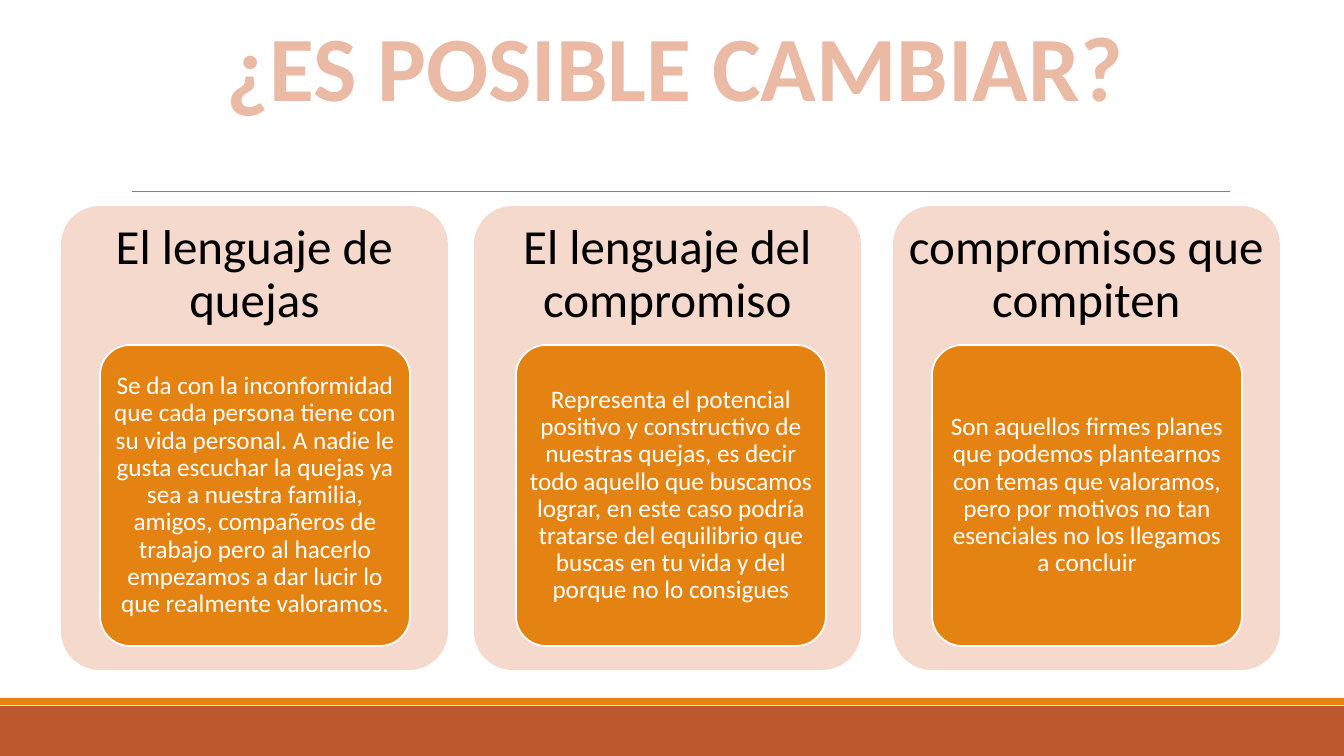
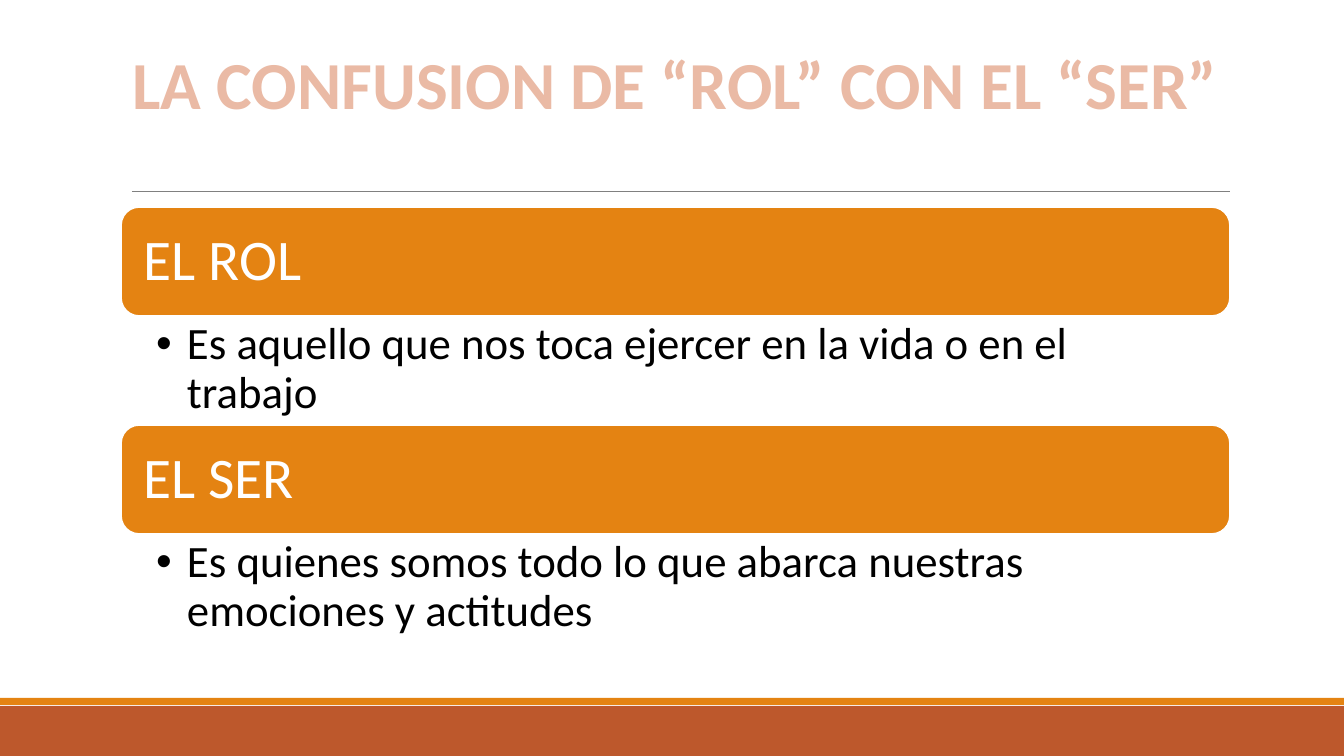
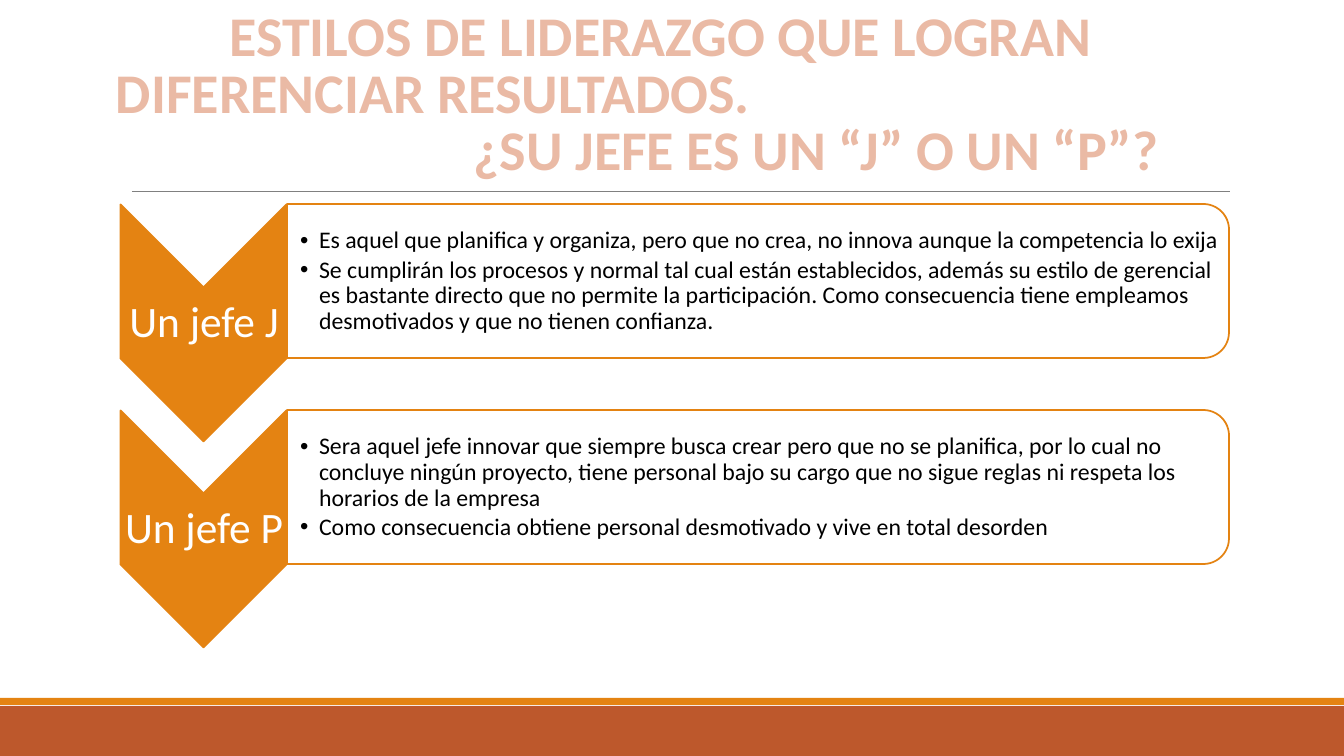
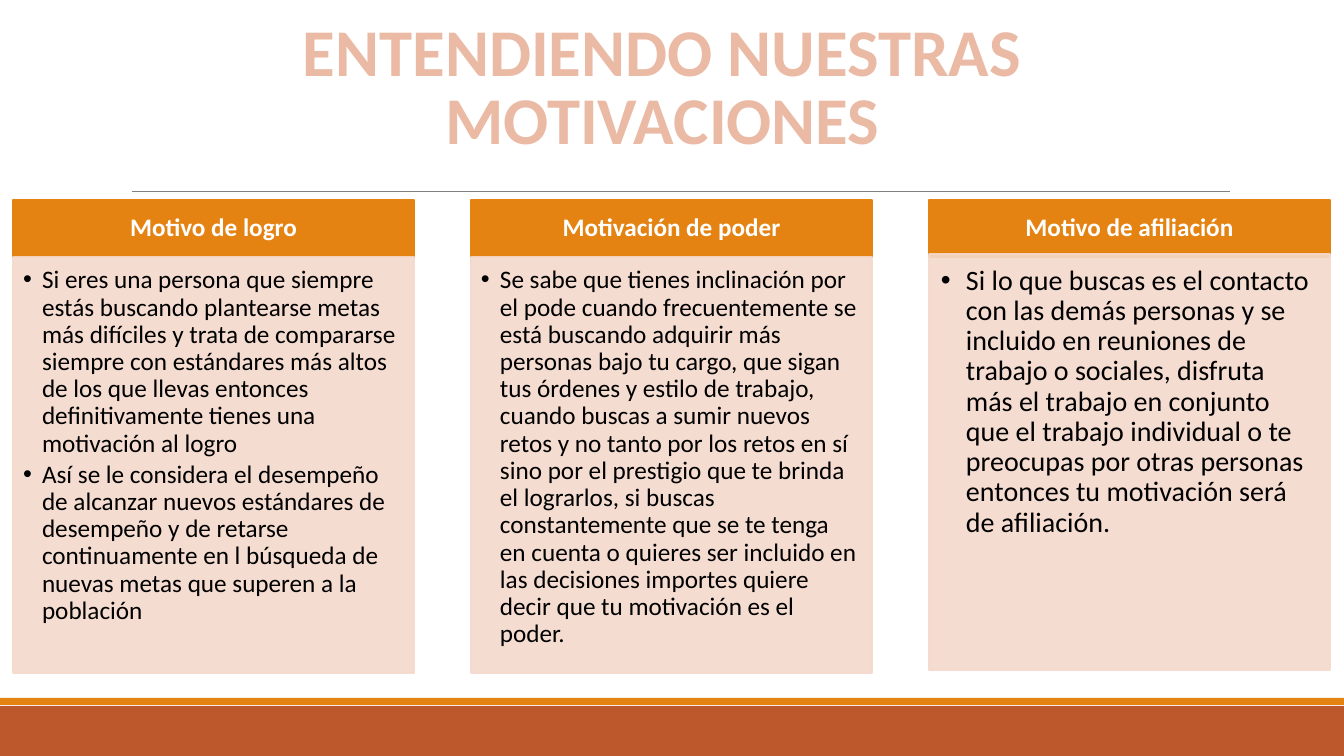
"""Build a four-slide deck on personal change and leadership."""
from dataclasses import dataclass, replace
from typing import Any, NamedTuple

from lxml import etree
from pptx import Presentation
from pptx.dml.color import RGBColor
from pptx.enum.shapes import MSO_CONNECTOR, MSO_SHAPE
from pptx.enum.text import MSO_ANCHOR, MSO_AUTO_SIZE, PP_ALIGN
from pptx.oxml.ns import qn
from pptx.util import Emu, Pt

RECT, ROUND = MSO_SHAPE.RECTANGLE, MSO_SHAPE.ROUNDED_RECTANGLE
CHEVRON, TAB = MSO_SHAPE.CHEVRON, MSO_SHAPE.ROUND_2_SAME_RECTANGLE
STRAIGHT = MSO_CONNECTOR.STRAIGHT
TOP, MIDDLE, BOTTOM = MSO_ANCHOR.TOP, MSO_ANCHOR.MIDDLE, MSO_ANCHOR.BOTTOM
LEFT, CENTER = PP_ALIGN.LEFT, PP_ALIGN.CENTER
NO_FIT = MSO_AUTO_SIZE.NONE

WIDE, HIGH = 1344, 756
SCALE = 12192000 / WIDE
FONT = "Calibri"
COLORS = {
    "rust": "BD582C",
    "orange": "E48312",
    "peach": "F5D9CC",
    "title": "EABAA5",
    "rule": "808080",
    "white": "FFFFFF",
    "black": "000000",
}


class Box(NamedTuple):
    """A rectangle in px."""
    x: int
    y: int
    w: int
    h: int


class Line(NamedTuple):
    """One paragraph of a title."""
    text: str
    align: Any = CENTER
    indent: int = 0


@dataclass(frozen=True)
class Style:
    """How a block of text looks; insets run left, top, right, bottom."""
    size: float
    color: str
    inset: tuple[int, int, int, int]
    bold: bool = False
    align: Any = CENTER
    anchor: Any = MIDDLE
    lead: float = 0.9
    bullet: int = 0


@dataclass(frozen=True)
class Card:
    """A panel with a heading and a note."""
    left: int
    head: str
    note: str


@dataclass(frozen=True)
class Topic:
    """A heading with its list."""
    head: str
    items: tuple[str, ...]


HEAD = Style(35, "black", (3, 4, 3, 330))
NOTE = Style(18, "white", (5, 4, 5, 4))
BAR = Style(41, "white", (17, 12, 17, 12), align=LEFT)
ROLE = Style(32, "black", (35, 6, 32, 6), align=LEFT, anchor=TOP, bullet=31)
BOSS = Style(31, "white", (2, 2, 2, 2))
TRAITS = Style(17, "black", (13, 1, 1, 1), align=LEFT, bullet=19)
MOTIVE = Style(18, "white", (14, 8, 14, 8), bold=True)
SIGNS = Style(18, "black", (10, 10, 14, 16), align=LEFT, anchor=TOP, bullet=19)
LARGE = replace(SIGNS, size=20, inset=(12, 12, 16, 17), bullet=25)

CARDS = (
    Card(61, "El lenguaje de quejas",
         "Se da con la inconformidad que cada persona tiene con su vida personal. "
         "A nadie le gusta escuchar la quejas ya sea a nuestra familia, amigos, "
         "compañeros de trabajo pero al hacerlo empezamos a dar lucir lo que "
         "realmente valoramos."),
    Card(474, "El lenguaje del compromiso",
         "Representa el potencial positivo y constructivo de nuestras quejas, es "
         "decir todo aquello que buscamos lograr, en este caso podría tratarse del "
         "equilibrio que buscas en tu vida y del porque no lo consigues"),
    Card(893, "compromisos que compiten",
         "Son aquellos firmes planes que podemos plantearnos con temas que "
         "valoramos, pero por motivos no tan esenciales no los llegamos a concluir"),
)
ROLES = (
    Topic("EL ROL", ("Es aquello que nos toca ejercer en la vida o en el trabajo",)),
    Topic("EL SER", ("Es quienes somos todo lo que abarca nuestras emociones y actitudes",)),
)
BOSSES = (
    Topic("Un jefe J", (
        "Es aquel que planifica y organiza, pero que no crea, no innova aunque la "
        "competencia lo exija",
        "Se cumplirán los procesos y normal tal cual están establecidos, además su "
        "estilo de gerencial es bastante directo que no permite la participación. "
        "Como consecuencia tiene empleamos desmotivados y que no tienen confianza.")),
    Topic("Un jefe P", (
        "Sera aquel jefe innovar que siempre busca crear pero que no se planifica, "
        "por lo cual no concluye ningún proyecto, tiene personal bajo su cargo que "
        "no sigue reglas ni respeta los horarios de la empresa",
        "Como consecuencia obtiene personal desmotivado y vive en total desorden")),
)
MOTIVES = (
    Topic("Motivo de logro", (
        "Si eres una persona que siempre estás buscando plantearse metas más "
        "difíciles y trata de compararse siempre con estándares más altos de los que "
        "llevas entonces definitivamente tienes una motivación al logro",
        "Así se le considera el desempeño de alcanzar nuevos estándares de desempeño "
        "y de retarse continuamente en l búsqueda de nuevas metas que superen a la "
        "población")),
    Topic("Motivación de poder", (
        "Se sabe que tienes inclinación por el pode cuando frecuentemente se está "
        "buscando adquirir más personas bajo tu cargo, que sigan tus órdenes y "
        "estilo de trabajo, cuando buscas a sumir nuevos retos y no tanto por los "
        "retos en sí sino por el prestigio que te brinda el lograrlos, si buscas "
        "constantemente que se te tenga en cuenta o quieres ser incluido en las "
        "decisiones importes quiere decir que tu motivación es el poder.",)),
    Topic("Motivo de afiliación", (
        "Si lo que buscas es el contacto con las demás personas y se incluido en "
        "reuniones de trabajo o sociales, disfruta más el trabajo en conjunto que el "
        "trabajo individual o te preocupas por otras personas entonces tu motivación "
        "será de afiliación.",)),
)


def px(size: float) -> Emu:
    """Turn px into EMU."""
    return Emu(round(size * SCALE))


def tint(name: str) -> RGBColor:
    """Look up a colour."""
    return RGBColor.from_string(COLORS[name])


def place(shape: Any, box: Box) -> None:
    """Move a shape to a box."""
    shape.left, shape.top, shape.width, shape.height = map(px, box)


def paint(shape: Any, fill: str, line: str = "", alpha: int = 100) -> None:
    """Fill and outline a shape, with opacity in percent."""
    shape.fill.solid()
    shape.fill.fore_color.rgb = tint(fill)
    if line:
        shape.line.color.rgb = tint(line)
        shape.line.width = Pt(1.25)
    else:
        shape.line.fill.background()
    if alpha < 100:
        for color in shape.element.spPr.iter(qn("a:srgbClr")):
            etree.SubElement(color, qn("a:alpha")).set("val", str(alpha * 1000))


def write(shape: Any, lines: tuple[Line, ...], style: Style) -> None:
    """Write paragraphs in one style."""
    frame = shape.text_frame
    frame.word_wrap = True
    frame.auto_size = NO_FIT
    frame.vertical_anchor = style.anchor
    (frame.margin_left, frame.margin_top,
     frame.margin_right, frame.margin_bottom) = map(px, style.inset)
    for num, line in enumerate(lines):
        para = frame.paragraphs[0] if num == 0 else frame.add_paragraph()
        para.text = line.text
        para.alignment = line.align
        para.line_spacing = style.lead
        para.space_before = Pt(0)
        para.space_after = Pt(round(0.15 * style.size, 1) if style.bullet else 0)
        props = para._p.get_or_add_pPr()
        props.set("marL", str(px(line.indent + style.bullet)))
        props.set("indent", str(-px(style.bullet)))
        if style.bullet:
            etree.SubElement(props, qn("a:buFont")).set("typeface", "Arial")
            etree.SubElement(props, qn("a:buChar")).set("char", "•")
        font = para.font
        font.name = FONT
        font.size = Pt(style.size)
        font.bold = style.bold
        font.color.rgb = tint(style.color)


def block(slide: Any, kind: Any, box: Box, fill: str, line: str = "",
          text: str = "", style: Style = NOTE) -> Any:
    """Add a painted shape, with text if given."""
    shape = slide.shapes.add_shape(kind, *map(px, box))
    shape.shadow.inherit = False
    paint(shape, fill, line)
    if text:
        write(shape, (Line(text, style.align),), style)
    return shape


def turned(slide: Any, kind: Any, box: Box, fill: str, line: str) -> Any:
    """Add a shape turned a quarter right that covers the box."""
    shift = (box.w - box.h) // 2
    shape = block(slide, kind, Box(box.x + shift, box.y - shift, box.h, box.w), fill, line)
    shape.rotation = 90
    return shape


def listing(slide: Any, box: Box, items: tuple[str, ...], style: Style) -> Any:
    """Fill the next free body placeholder with a list, in front."""
    body = next(p for p in slide.placeholders
                if p.placeholder_format.idx and not p.text_frame.text)
    slide.shapes.element.append(body.element)
    place(body, box)
    write(body, tuple(Line(item, style.align) for item in items), style)
    return body


def start(deck: Any, layout: int, box: Box, size: float, lift: int, *lines: Line) -> Any:
    """Add a slide with its title raised from the box's bottom."""
    slide = deck.slides.add_slide(deck.slide_layouts[layout])
    place(slide.shapes.title, box)
    style = Style(size, "title", (10, 5, 10, lift), bold=True, anchor=BOTTOM, lead=0.85)
    write(slide.shapes.title, lines, style)
    return slide


def frame(deck: Any, slide: Any) -> None:
    """Draw the bands and the rule, and hand them to the master."""
    rule = slide.shapes.add_connector(STRAIGHT, px(132), px(191), px(1230), px(191))
    rule.line.color.rgb = tint("rule")
    rule.line.width = Pt(0.5)
    etree.SubElement(rule.element.spPr, qn("a:effectLst"))
    parts = (block(slide, RECT, Box(0, 706, WIDE, 50), "rust"),
             block(slide, RECT, Box(0, 698, WIDE, 7), "orange"), rule)
    for num, part in enumerate(parts, 20):
        part.element.xpath(".//p:cNvPr")[0].set("id", str(num))
        deck.slide_master.shapes.element.append(part.element)


def change(deck: Any) -> None:
    """Build the slide on change."""
    slide = start(deck, 5, Box(121, 31, 1109, 160), 65.7, 71, Line("¿ES POSIBLE CAMBIAR?"))
    frame(deck, slide)
    for num, card in enumerate(CARDS):
        panel = block(slide, ROUND, Box(card.left, 206, 387, 464), "peach", "", card.head, HEAD)
        note = block(slide, ROUND, Box(100 + 416 * num, 345, 310, 301),
                     "orange", "white", card.note)
        panel.adjustments[0] = note.adjustments[0] = 0.1


def roles(deck: Any) -> None:
    """Build the slide on role and being."""
    slide = start(deck, 3, Box(121, 31, 1109, 160), 48, 68,
                  Line("LA CONFUSION DE “ROL” CON EL “SER”"))
    for num, topic in enumerate(ROLES):
        top = 207 + 218 * num
        block(slide, ROUND, Box(121, top, 1109, 109), "orange", "white", topic.head, BAR)
        listing(slide, Box(121, top + 108, 1109, 110), topic.items, ROLE)


def bosses(deck: Any) -> None:
    """Build the slide on two kinds of boss."""
    slide = start(deck, 3, Box(106, 143, 1109, 160), 40, 121,
                  Line("ESTILOS DE LIDERAZGO QUE LOGRAN"),
                  Line("DIFERENCIAR RESULTADOS.", LEFT),
                  Line("¿SU JEFE ES UN “J” O UN “P”?", LEFT, 358))
    for num, topic in enumerate(BOSSES):
        top = 204 + 206 * num
        turned(slide, CHEVRON, Box(121, top, 166, 237), "orange", "orange")
        label = slide.shapes.add_textbox(*map(px, Box(121, top + 83, 166, 72)))
        write(label, (Line(topic.head),), BOSS)
        turned(slide, TAB, Box(287, top, 942, 154), "white", "orange")
        listing(slide, Box(287, top + 8, 935, 139), topic.items, TRAITS)


def motives(deck: Any) -> None:
    """Build the slide on three motives."""
    slide = start(deck, 4, Box(108, 72, 1109, 160), 47.7, 74,
                  Line("ENTENDIENDO NUESTRAS MOTIVACIONES"))
    looks = ((257, SIGNS), (257, SIGNS), (254, LARGE))
    for num, (topic, (top, style)) in enumerate(zip(MOTIVES, looks)):
        left = 13 + 458 * num
        block(slide, RECT, Box(left, 200, 401, 57), "orange", "orange", topic.head, MOTIVE)
        body = listing(slide, Box(left, top, 401, 416), topic.items, style)
        paint(body, "peach", "peach", 90)


def main() -> None:
    """Build and save the deck."""
    deck = Presentation()
    deck.slide_width, deck.slide_height = px(WIDE), px(HIGH)
    for build in (change, roles, bosses, motives):
        build(deck)
    for slide in deck.slides:
        for spare in list(slide.placeholders):
            if not spare.text_frame.text:
                slide.shapes.element.remove(spare.element)
    deck.save("out.pptx")


if __name__ == "__main__":
    main()
